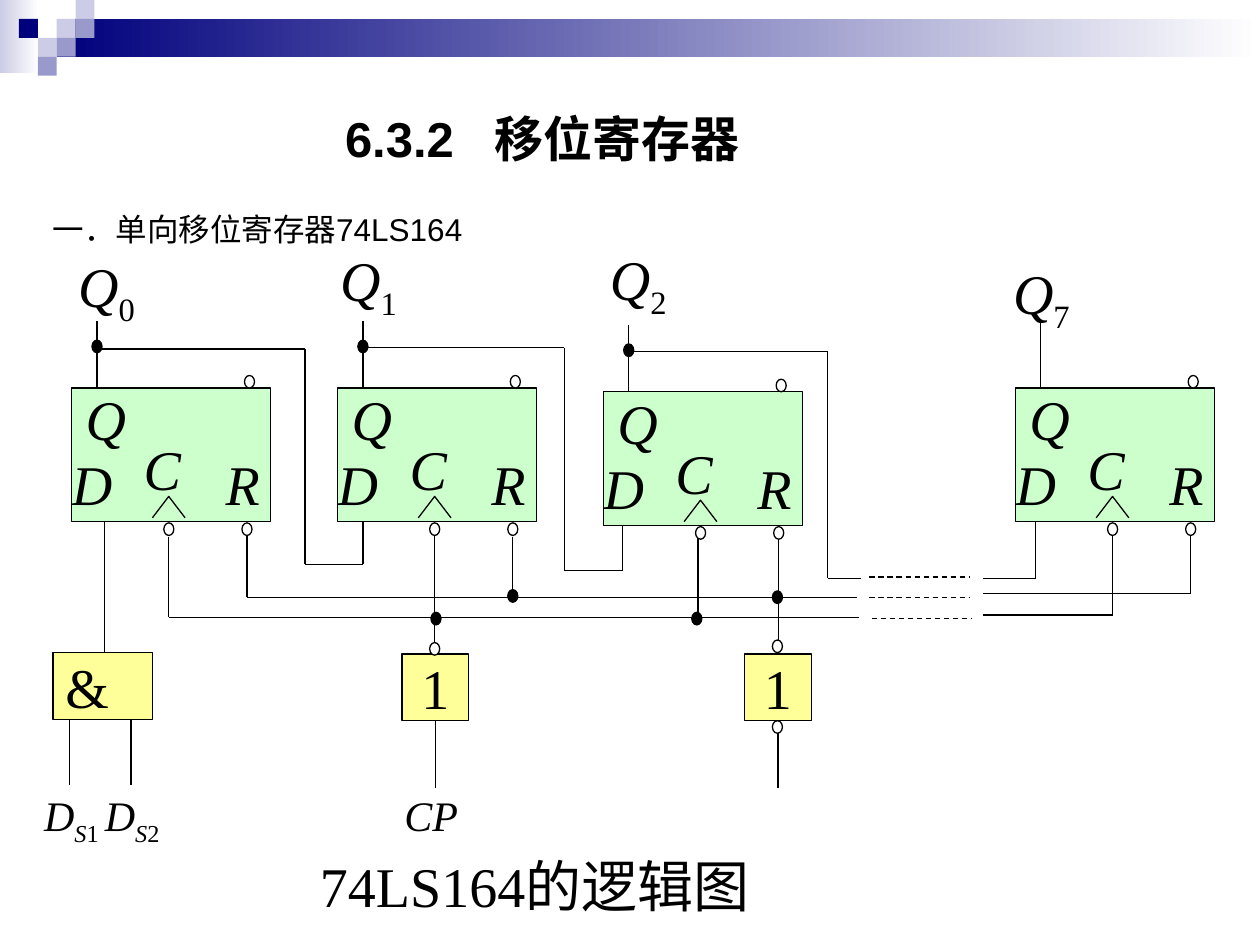
from itertools import pairwise

from lxml import etree
from pptx import Presentation
from pptx import util as u
from pptx.dml.color import RGBColor
from pptx.enum import dml, shapes, text
from pptx.oxml import ns

COLORS = {"ink": "000000", "paper": "FFFFFF", "navy": "00007D", "pale": "CCCCE6",
          "violet": "9999CC", "green": "CCFFCC", "yellow": "FFFF99"}
SERIF, SANS = "Times New Roman", "Arial"
LEFT, CENTER = text.PP_ALIGN.LEFT, text.PP_ALIGN.CENTER
RECT, OVAL = shapes.MSO_SHAPE.RECTANGLE, shapes.MSO_SHAPE.OVAL

# Header: squares on a grid of 0.15 inch (column, row, colour)
CELL = 0.15
SQUARES = [(3, 1, "pale"), (4, 0, "pale"), (4, 1, "violet"), (2, 2, "pale"),
           (1, 1, "navy"), (3, 2, "violet"), (2, 3, "violet")]
GRADIENTS = [((0, 0, 0.31, 0.58), "pale"), ((3 * CELL, CELL, 9.55, 2 * CELL), "navy")]

# Flip-flops: bit, corner, corner of the output label
FLIP_FLOPS = [("0", (0.57, 3.08), (0.62, 2.0)), ("1", (2.68, 3.08), (2.7, 1.95)),
              ("2", (4.79, 3.11), (4.84, 1.94)), ("7", (8.06, 3.08), (8.04, 2.05))]
FLIP_SIZE = (1.58, 1.06)
OUTPUT_X, CLOCK_X, RESET_X, PRESET_X = 0.2, 0.77, 1.39, 1.41
NODE_Y, PIN_Y = -0.33, 1.12
CLOCK_MARK = [(0.64, 1.03), (0.77, 0.86), (0.9, 1.03)]

# Gates: text, box, alignment, side inset
GATES = {"and": ("&", (0.42, 5.18, 0.79, 0.53), LEFT, 0.1),
         "clock": ("1", (3.19, 5.19, 0.53, 0.53), CENTER, 0),
         "clear": ("1", (5.91, 5.19, 0.53, 0.53), CENTER, 0)}
GATE_INPUTS = [("clock", 6.25), ("clear", 6.25)]

# Wires as runs of points
RESET_BUS, CLOCK_BUS = 4.74, 4.9
WIRES = [
    [(0.77, 2.77), (2.42, 2.77), (2.42, 4.48), (2.88, 4.48), (2.88, 4.14)],
    [(2.88, 2.76), (4.48, 2.76), (4.48, 4.53), (4.94, 4.53), (4.94, 4.17)],
    [(4.99, 2.79), (6.57, 2.79), (6.57, 4.59), (6.83, 4.59)],
    [(7.8, 4.59), (8.22, 4.59), (8.22, 4.14)],
    [(1.96, 4.24), (1.96, RESET_BUS), (6.8, RESET_BUS)],
    [(1.34, 4.26), (1.34, CLOCK_BUS), (6.82, CLOCK_BUS)],
    [(7.8, 4.71), (9.45, 4.71), (9.45, 4.23)],
    [(7.8, 4.88), (8.83, 4.88), (8.83, 4.21)],
    [(4.07, 4.26), (4.07, RESET_BUS)], [(6.18, 4.27), (6.18, 5.16)],
    [(3.45, 4.24), (3.45, 5.13)], [(5.54, 4.26), (5.54, CLOCK_BUS)],
    [(0.83, 4.14), (0.83, 5.18)],
    [(0.55, 5.71), (0.55, 6.23)], [(1.04, 5.71), (1.04, 6.23)],
]
DASHES = [(6.9, 4.58), (6.9, 4.74), (6.92, 4.91)]
DASH_LENGTH = 0.79
JUNCTIONS = [(4.07, 4.73), (6.17, 4.74), (3.46, 4.91), (5.53, 4.91)]
GATE_BUBBLES = [(3.45, 5.15), (6.17, 5.13), (6.17, 5.77)]

# Runs: text, italic, subscript
SERIAL_INPUTS = [("D", True, False), ("S", True, True), ("1 ", False, True),
                 ("D", True, False), ("S", True, True), ("2", False, True)]

presentation = Presentation()
presentation.slide_width, presentation.slide_height = u.Inches(10), u.Inches(7.5)
slide = presentation.slides.add_slide(presentation.slide_layouts[6])


def inches(values):
    return [u.Inches(value) for value in values]


def rgb(name):
    return RGBColor.from_string(COLORS[name])


def write(shape, runs, size, font=SERIF, bold=False, align=LEFT, inset=(0, 0),
          anchor=text.MSO_ANCHOR.TOP, tab=None):
    frame = shape.text_frame
    frame.word_wrap, frame.vertical_anchor = True, anchor
    frame.margin_left = frame.margin_right = u.Inches(inset[0])
    frame.margin_top = frame.margin_bottom = u.Inches(inset[1])
    paragraph = frame.paragraphs[0]
    paragraph.alignment = align
    if tab:
        tabs = etree.SubElement(paragraph._p.get_or_add_pPr(), ns.qn("a:tabLst"))
        etree.SubElement(tabs, ns.qn("a:tab"), pos=str(u.Inches(tab)), algn="l")
    paragraph.font.name, paragraph.font.size = font, u.Pt(size)
    paragraph.font.bold, paragraph.font.color.rgb = bold, rgb("ink")
    for content, italic, subscript in runs:
        run = paragraph.add_run()
        run.text, run.font.italic = content, italic
        if subscript:
            run._r.get_or_add_rPr().set("baseline", "-25000")


def add_label(box, runs, size, **style):
    write(slide.shapes.add_textbox(*inches(box)), runs, size, **style)


def add_shape(kind, box, fill, outlined=True):
    shape = slide.shapes.add_shape(kind, *inches(box))
    shape.shadow.inherit = False
    shape.fill.solid()
    shape.fill.fore_color.rgb = rgb(fill)
    if outlined:
        shape.line.color.rgb, shape.line.width = rgb("ink"), u.Pt(0.75)
    else:
        shape.line.fill.background()
    return shape


def add_dot(center, fill):
    add_shape(OVAL, (center[0] - 0.04, center[1] - 0.05, 0.08, 0.1), fill)


def add_wire(start, end, dashed=False):
    wire = slide.shapes.add_connector(shapes.MSO_CONNECTOR.STRAIGHT, *inches(start + end))
    wire.line.color.rgb, wire.line.width = rgb("ink"), u.Pt(0.75)
    if dashed:
        wire.line.dash_style = dml.MSO_LINE.DASH
    etree.SubElement(wire._element.spPr, ns.qn("a:effectLst"))
    return wire


# Header
for box, color in GRADIENTS:
    band = add_shape(RECT, box, color, outlined=False)
    band.fill.gradient()
    band.fill.gradient_angle = 0
    for stop, name in zip(band.fill.gradient_stops, (color, "paper")):
        stop.color.rgb = rgb(name)
for column, row, color in SQUARES:
    add_shape(RECT, (column * CELL, row * CELL, CELL, CELL), color, outlined=False)

# Headings and caption
add_label((2.64, 0.68, 3.94, 0.83), [("6.3.2\t移位寄存器", False, False)], 28, font=SANS,
          bold=True, inset=(0.1, 0.18), anchor=text.MSO_ANCHOR.MIDDLE, tab=1.19)
add_label((0.32, 1.62, 3.8, 0.4), [("一．单向移位寄存器74LS164", False, False)], 18,
          font=SANS, inset=(0.1, 0.05), anchor=text.MSO_ANCHOR.MIDDLE)
add_label((2.35, 6.71, 3.79, 0.79), [("74LS164的逻辑图", False, False)], 32,
          align=CENTER, inset=(0.1, 0.05))

# Flip-flop and gate bodies
for bit, (x, y), corner in FLIP_FLOPS:
    body = add_shape(RECT, (x, y, *FLIP_SIZE), "green")
    write(body, [("D\tR", True, False)], 32, anchor=text.MSO_ANCHOR.BOTTOM,
          inset=(0, 0.04), tab=1.22)
    builder = slide.shapes.build_freeform(
        *[u.Inches(a + b) for a, b in zip((x, y), CLOCK_MARK[0])])
    builder.add_line_segments(
        [inches((x + dx, y + dy)) for dx, dy in CLOCK_MARK[1:]], close=False)
    mark = builder.convert_to_shape()
    mark.shadow.inherit = False
    mark.fill.background()
    mark.line.color.rgb, mark.line.width = rgb("ink"), u.Pt(0.75)
    add_label((x + 0.57, y + 0.37, 0.45, 0.43), [("C", True, False)], 32)
    add_label((x + 0.11, y - 0.03, 0.4, 0.55), [("Q", True, False)], 32)
    add_label((*corner, 0.53, 0.53), [("Q", True, False), (bit, False, True)], 32)
gates = {}
for name, (symbol, box, align, inset) in GATES.items():
    gates[name] = add_shape(RECT, box, "yellow")
    write(gates[name], [(symbol, False, False)], 32, align=align, inset=(inset, 0))

# Wires
for points in WIRES:
    for start, end in pairwise(points):
        add_wire(start, end)
for x, y in DASHES:
    add_wire((x, y), (x + DASH_LENGTH, y), dashed=True)
for name, bottom in GATE_INPUTS:
    left, top, width, height = GATES[name][1]
    middle = left + width / 2
    add_wire((middle, top + height), (middle, bottom)).begin_connect(gates[name], 2)

# Pins and junctions
for bit, (x, y), _ in FLIP_FLOPS:
    add_wire((x + OUTPUT_X, y - 0.53), (x + OUTPUT_X, y))
    for pin in [(PRESET_X, -0.05), (CLOCK_X, PIN_Y), (RESET_X, PIN_Y)]:
        add_dot((x + pin[0], y + pin[1]), "paper")
    if bit != "7":
        add_dot((x + OUTPUT_X, y + NODE_Y), "ink")
for center in JUNCTIONS:
    add_dot(center, "ink")
for center in GATE_BUBBLES:
    add_dot(center, "paper")

# Input names
add_label((0.35, 6.27, 1.32, 0.53), SERIAL_INPUTS, 24)
add_label((3.21, 6.27, 0.53, 0.53), [("CP", True, False)], 24)

presentation.save("out.pptx")
